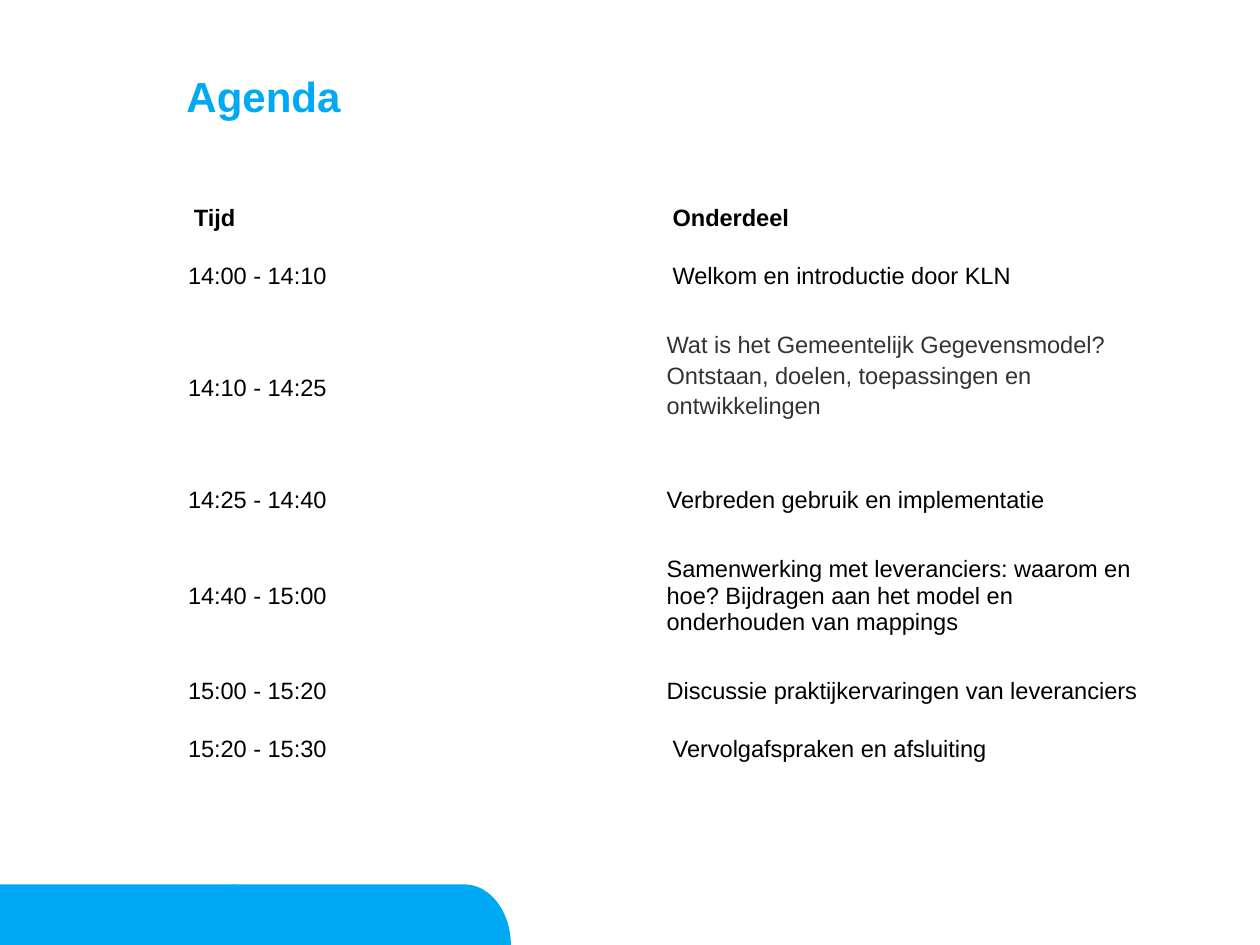
from dataclasses import dataclass
from math import cos, pi, sin

from pptx import Presentation
from pptx import util as u
from pptx.dml.color import RGBColor
from pptx.enum import text


@dataclass(frozen=True)
class Theme:
    font: str = "Arial"
    blue: RGBColor = RGBColor(0x00, 0xA9, 0xF3)
    black: RGBColor = RGBColor(0x00, 0x00, 0x00)
    grey: RGBColor = RGBColor(0x33, 0x33, 0x33)
    title_size: float = 24
    table_size: float = 13.5


THEME = Theme()
CELL_MARGIN = 0.03
WIDE_MARGIN = 0.15
LINE_ROOM = 0.63
HEADER = ("Tijd", "Onderdeel")
TALK = "Wat is het Gemeentelijk Gegevensmodel? Ontstaan, doelen, toepassingen en ontwikkelingen"
WELCOME = "Welkom en introductie door KLN"
CLOSING = "Vervolgafspraken en afsluiting"
INDENTED = {*HEADER, WELCOME, CLOSING}
AGENDA = [
    (0.81, HEADER),
    (1.55, ("14:00 - 14:10", WELCOME)),
    (2.97, ("14:10 - 14:25", TALK)),
    (1.55, ("14:25 - 14:40", "Verbreden gebruik en implementatie")),
    (2.29, ("14:40 - 15:00", "Samenwerking met leveranciers: waarom en hoe? "
                             "Bijdragen aan het model en onderhouden van mappings")),
    (1.55, ("15:00 - 15:20", "Discussie praktijkervaringen van leveranciers")),
    (0.81, ("15:20 - 15:30", CLOSING)),
]


def style_text(tf, size, color, bold=False, spacing=1.0):
    tf.word_wrap = True
    for p in tf.paragraphs:
        p.line_spacing = spacing
        for r in p.runs:
            r.font.name = THEME.font
            r.font.size = u.Pt(size)
            r.font.bold = bold
            r.font.color.rgb = color


def add_title(s, title):
    sp = s.shapes.add_textbox(u.Cm(3.76), u.Cm(1), u.Cm(20.9), u.Cm(2))
    tf = sp.text_frame
    tf.margin_left = tf.margin_right = tf.margin_top = tf.margin_bottom = 0
    tf.vertical_anchor = text.MSO_ANCHOR.MIDDLE
    tf.text = title
    style_text(tf, THEME.title_size, THEME.blue, bold=True, spacing=0.9)


def add_footer_bar(s, left, top=17.83, width=5.6, height=1.22, curve=0.94, steps=24):
    right, bottom = left + width, top + height
    angles = [pi / 2 * i / steps for i in range(steps + 1)]
    arc = [(right - curve + curve * sin(a), bottom - height * cos(a)) for a in angles]
    points = [(u.Cm(x), u.Cm(y)) for x, y in [*arc, (left, bottom)]]
    builder = s.shapes.build_freeform(u.Cm(left), u.Cm(top))
    builder.add_line_segments(points, close=True)
    sp = builder.convert_to_shape()
    sp.shadow.inherit = False
    sp.fill.solid()
    sp.fill.fore_color.rgb = THEME.blue
    sp.line.fill.background()


def fill_cell(cell, value):
    is_talk = value == TALK
    cell.fill.background()
    cell.vertical_anchor = text.MSO_ANCHOR.MIDDLE
    cell.margin_left = u.Cm(WIDE_MARGIN if value in INDENTED else CELL_MARGIN)
    cell.margin_right = cell.margin_top = u.Cm(CELL_MARGIN)
    cell.margin_bottom = u.Cm(LINE_ROOM if is_talk else CELL_MARGIN)
    cell.text_frame.text = value
    style_text(cell.text_frame, THEME.table_size,
               THEME.grey if is_talk else THEME.black,
               bold=value in HEADER, spacing=1.17 if is_talk else 1.0)


def add_agenda(s):
    height = sum(h for h, _ in AGENDA)
    table = s.shapes.add_table(len(AGENDA), len(HEADER), u.Cm(3.76), u.Cm(3.99),
                               u.Cm(19.3), u.Cm(height)).table
    table.first_row = table.horz_banding = False
    for row, (row_height, values) in zip(table.rows, AGENDA):
        row.height = u.Cm(row_height)
        for cell, value in zip(row.cells, values):
            fill_cell(cell, value)


def main():
    prs = Presentation()
    prs.slide_width, prs.slide_height = u.Cm(25.4), u.Cm(19.05)
    s = prs.slides.add_slide(prs.slide_layouts[6])
    for left in (0, 4.7):
        add_footer_bar(s, left)
    add_title(s, "Agenda")
    add_agenda(s)
    prs.save("out.pptx")


if __name__ == "__main__":
    main()
